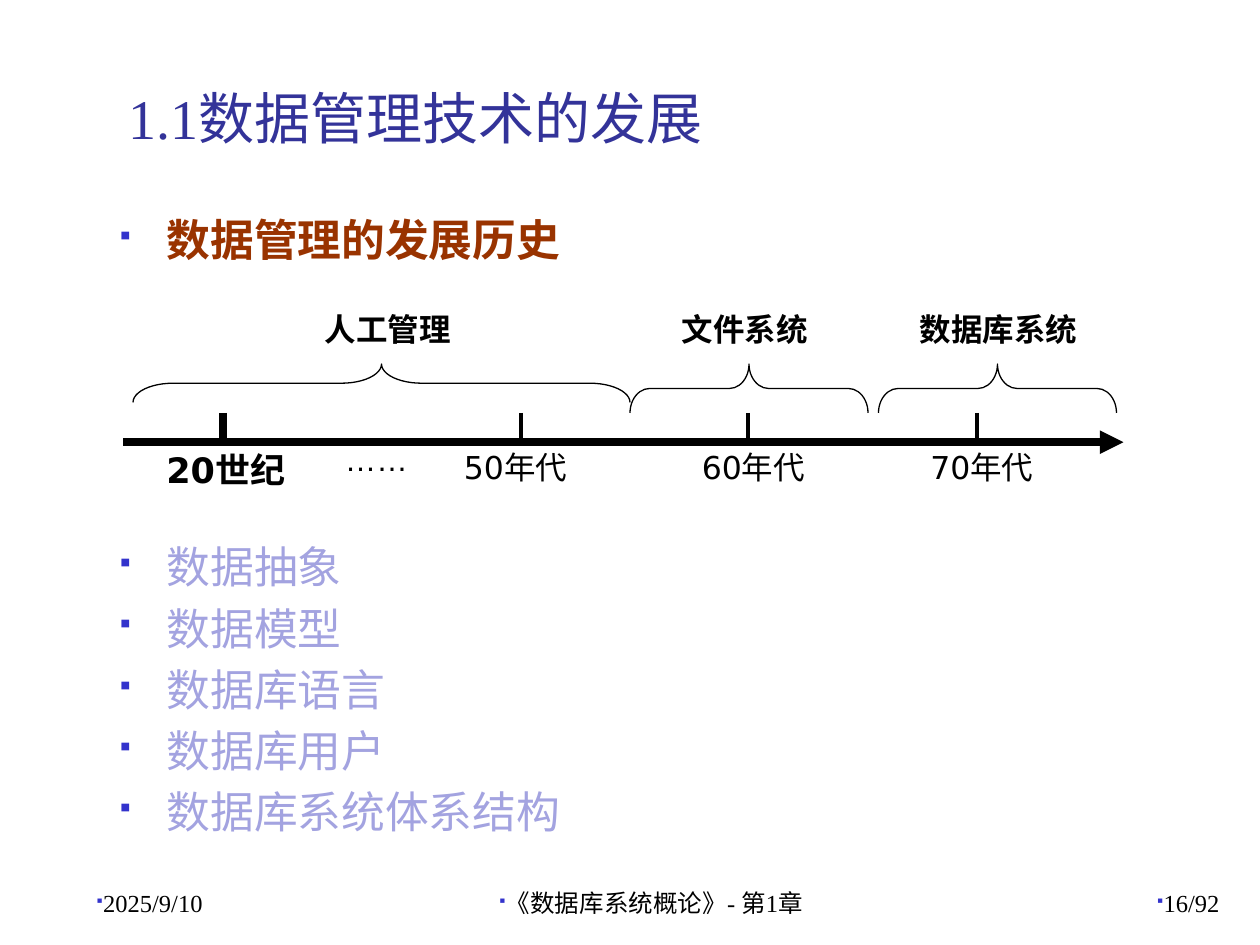
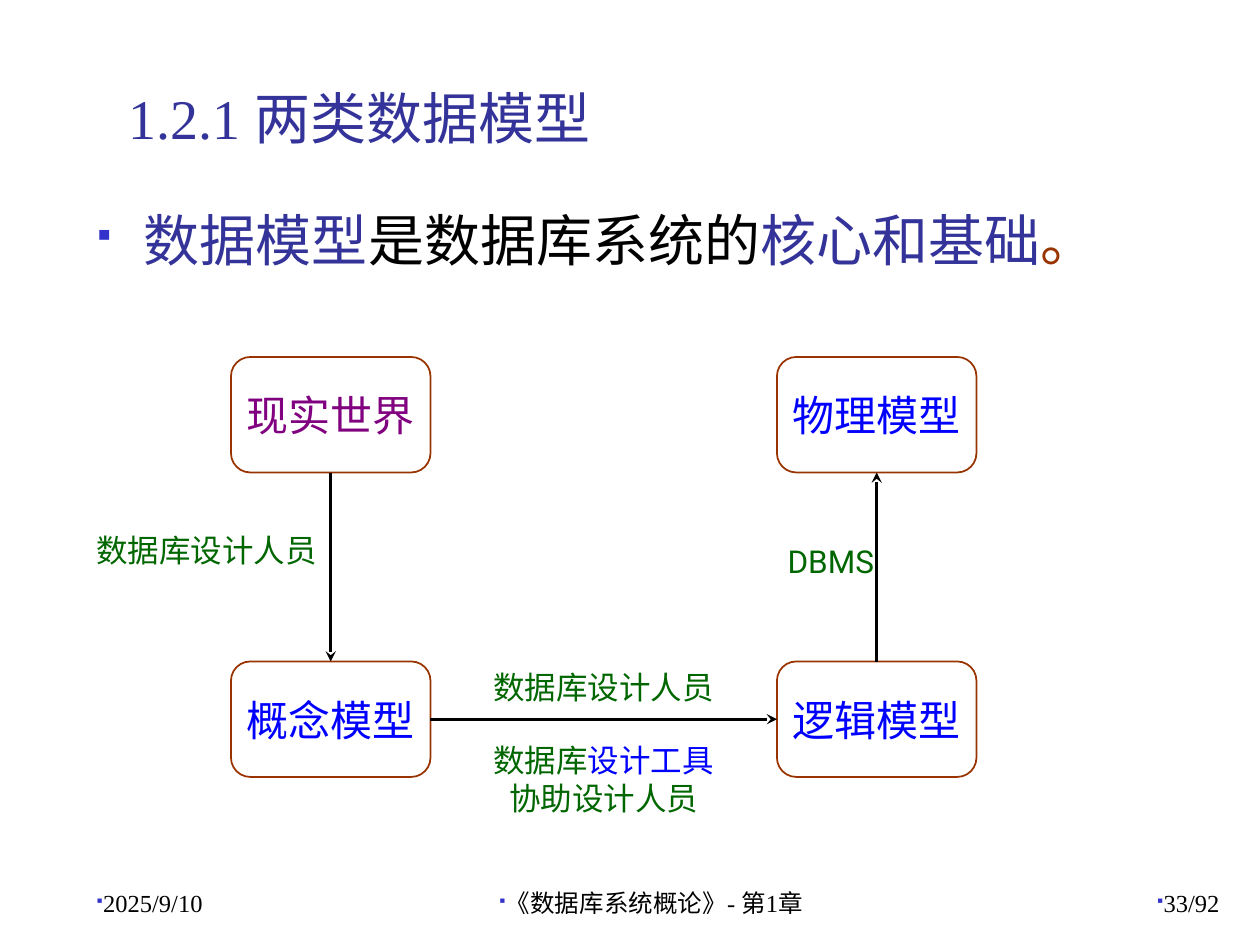
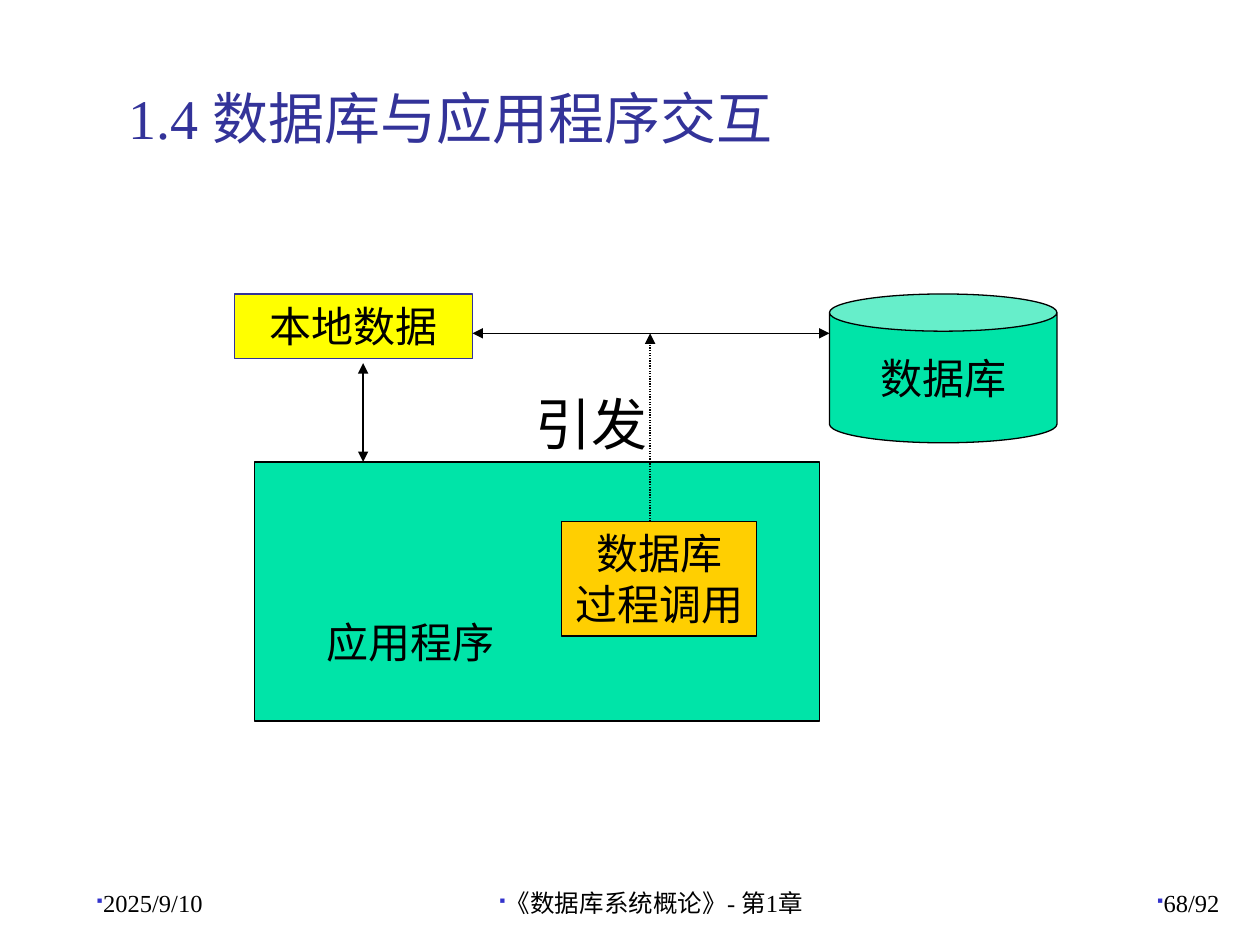
from dataclasses import dataclass
from lxml.etree import SubElement
from pptx import Presentation
from pptx.dml.color import RGBColor
from pptx.enum.dml import MSO_LINE
from pptx.enum.shapes import MSO_CONNECTOR, MSO_SHAPE
from pptx.enum.text import MSO_ANCHOR, MSO_AUTO_SIZE, PP_ALIGN
from pptx.oxml.ns import qn
from pptx.util import Pt


@dataclass(frozen=True)
class Theme:
    """Colours, fonts and type sizes of the deck."""
    navy: str = "333399"
    mark: str = "3333CC"
    rust: str = "993300"
    pale: str = "A3A3E0"
    black: str = "000000"
    blue: str = "0000FF"
    plum: str = "800080"
    green: str = "006600"
    mint: str = "00E4A8"
    gold: str = "FFCF01"
    yellow: str = "FFFF00"
    serif: str = "Times New Roman"
    sans: str = "Roboto"
    plain: str = "Arial"
    chart: str = "DejaVu Sans"
    title: int = 32
    list: int = 25
    node: int = 24
    year: int = 20
    label: int = 18
    foot: int = 14


T = Theme()
LEFT, MID, RIGHT = PP_ALIGN.LEFT, PP_ALIGN.CENTER, PP_ALIGN.RIGHT
TOP, LOW = MSO_ANCHOR.TOP, MSO_ANCHOR.BOTTOM


def place(shape, left, top, width, height):
    """Move and size a shape, in points."""
    shape.left, shape.top = Pt(left), Pt(top)
    shape.width, shape.height = Pt(width), Pt(height)


def bullet(para, indent):
    """Give a paragraph a square bullet and a hanging indent."""
    props = para._p.get_or_add_pPr()
    props.set("marL", str(Pt(indent)))
    props.set("indent", str(-Pt(indent)))
    color = SubElement(props, qn("a:buClr"))
    SubElement(color, qn("a:srgbClr"), val=T.mark)
    SubElement(props, qn("a:buSzPct"), val="60000")
    SubElement(props, qn("a:buFont"), typeface="Wingdings")
    SubElement(props, qn("a:buChar"), char="§")


def write(shape, *lines, size=T.label, color=T.black, font=T.plain, bold=False,
          align=LEFT, anchor=TOP, wrap=True, indent=None, gaps=()):
    """Fill a shape with lines, each a string or a list of (text, colour)."""
    frame = shape.text_frame
    frame.auto_size = MSO_AUTO_SIZE.NONE
    frame.word_wrap = wrap
    frame.vertical_anchor = anchor
    for pos, line in enumerate(lines):
        para = frame.add_paragraph() if pos else frame.paragraphs[0]
        if indent is not None:
            bullet(para, indent)
        para.alignment = align
        para.space_before = Pt(gaps[pos] if gaps else 0)
        for text, tone in [(line, color)] if isinstance(line, str) else line:
            run = para.add_run()
            run.text = text
            run.font.size = Pt(size)
            run.font.name = font
            run.font.bold = bold
            run.font.color.rgb = RGBColor.from_string(tone)


def label(slide, box, *lines, **form):
    """Add a text box."""
    shape = slide.shapes.add_textbox(*map(Pt, box))
    write(shape, *lines, **form)


def block(slide, kind, box, fill=None, edge=T.black, width=0.75):
    """Add a flat preset shape."""
    shape = slide.shapes.add_shape(kind, *map(Pt, box))
    shape.shadow.inherit = False
    if fill:
        shape.fill.solid()
        shape.fill.fore_color.rgb = RGBColor.from_string(fill)
    else:
        shape.fill.background()
    shape.line.color.rgb = RGBColor.from_string(edge)
    shape.line.width = Pt(width)
    return shape


def brace(slide, mid, width, depth, bend):
    """Add a brace that opens down over part of the time line."""
    top = 208
    box = (mid - depth / 2, top + depth / 2 - width / 2, depth, width)
    shape = block(slide, MSO_SHAPE.LEFT_BRACE, box)
    shape.adjustments[0] = bend
    shape.rotation = 90


def line(slide, start, end, width=0.75, head=None, tail=None, dash=None):
    """Add a straight black line with optional arrowheads."""
    link = slide.shapes.add_connector(
        MSO_CONNECTOR.STRAIGHT, *map(Pt, (*start, *end)))
    link.line.color.rgb = RGBColor.from_string(T.black)
    link.line.width = Pt(width)
    if dash:
        link.line.dash_style = dash
    props = link._element.spPr
    for tag, tip in (("a:headEnd", head), ("a:tailEnd", tail)):
        if tip:
            SubElement(props.find(qn("a:ln")), qn(tag), type=tip)
    SubElement(props, qn("a:effectLst"))
    return link


def join(slide, first, out, last, into):
    """Link two blocks with an arrow from side to side."""
    link = line(slide, (0, 0), (0, 0), width=1.5, tail="stealth")
    link.begin_connect(first, out)
    link.end_connect(last, into)


def start(deck, layout, title, page):
    """Add a slide with its title and footer."""
    slide = deck.slides.add_slide(deck.slide_layouts[layout])
    place(slide.shapes.title, 66, 30, 638, 60)
    write(slide.shapes.title, title, size=T.title, color=T.navy,
          font=T.serif, anchor=LOW)
    feet = ((48, 150, LEFT, "2025/9/10"),
            (258, 228, MID, "《数据库系统概论》- 第1章"),
            (554, 150, RIGHT, f"{page}/92"))
    for left, width, align, text in feet:
        label(slide, (left, 492, width, 36), text, size=T.foot, font=T.serif,
              align=align, anchor=LOW, indent=0)
    return slide


def history(deck):
    """Build the time line of data management."""
    slide = start(deck, 1, "1.1数据管理技术的发展", 16)
    body = slide.placeholders[1]
    place(body, 61, 118, 576, 380)
    write(body, "数据管理的发展历史", "数据抽象", "数据模型", "数据库语言",
          "数据库用户", "数据库系统体系结构", size=T.list, color=T.pale,
          font=T.sans, indent=27, gaps=(0, 157, 5, 5, 5, 5))
    lead = body.text_frame.paragraphs[0].runs[0].font
    lead.bold = True
    lead.color.rgb = RGBColor.from_string(T.rust)

    axis = 252.7
    line(slide, (70.5, axis), (642, axis), width=4.5, tail="triangle")
    for spot, width in ((127.5, 4.5), (297.5, 2.25), (427.7, 2.25), (558.5, 2.25)):
        line(slide, (spot, 236), (spot, axis), width=width)
    label(slide, (88, axis, 98, 31), "20世纪", size=T.year, font=T.chart, bold=True)
    label(slide, (190, 247.7, 80, 29), "……")
    for left, text in ((258, "50年代"), (394, "60年代"), (524.5, "70年代")):
        label(slide, (left, axis, 82, 29), text, font=T.chart)

    eras = (("人工管理", 178.5, 218, 284, 22, 1.04),
            ("文件系统", 382.5, 428, 136, 28, 0.4),
            ("数据库系统", 518.5, 570, 136, 28, 0.4))
    for text, left, *curve in eras:
        label(slide, (left, 173.5, 114, 29), text, font=T.chart, bold=True)
        brace(slide, *curve)


def models(deck):
    """Build the path from the real world to the physical model."""
    slide = start(deck, 1, "1.2.1 两类数据模型", 33)
    body = slide.placeholders[1]
    place(body, 48, 114, 657, 369)
    write(body, [("数据模型", T.navy), ("是数据库系统的", T.black),
                 ("核心和基础", T.navy), ("。", T.rust)],
          size=T.title, font=T.sans, indent=27)

    nodes = []
    for text, left, top, color in (("现实世界", 132, 204, T.plum),
                                   ("概念模型", 132, 378, T.blue),
                                   ("逻辑模型", 444, 378, T.blue),
                                   ("物理模型", 444, 204, T.blue)):
        node = block(slide, MSO_SHAPE.FLOWCHART_ALTERNATE_PROCESS,
                     (left, top, 114, 66), edge=T.rust, width=1)
        write(node, text, size=T.node, color=color, font=T.sans,
              align=MID, anchor=MSO_ANCHOR.MIDDLE, wrap=False)
        nodes.append(node)
    world, idea, logic, store = nodes
    join(slide, world, 2, idea, 0)
    join(slide, idea, 3, logic, 1)
    join(slide, logic, 0, store, 2)

    form = dict(color=T.green, font=T.sans)
    label(slide, (48, 300, 168, 29), "数据库设计人员", **form)
    label(slide, (443, 306, 72, 29), "DBMS", **form)
    label(slide, (270, 378, 150, 29), "数据库设计人员", align=MID, **form)
    label(slide, (270, 420, 150, 50),
          [("数据库", T.green), ("设计工具", T.blue), ("协助设计人员", T.green)],
          align=MID, **form)


def calls(deck):
    """Build the exchange between program and database."""
    slide = start(deck, 5, "1.4 数据库与应用程序交互", 68)
    form = dict(size=T.node, align=MID)
    block(slide, MSO_SHAPE.RECTANGLE, (145.5, 264, 323, 148), T.mint)
    label(slide, (179.5, 349, 124.5, 36), "应用程序", size=T.node)
    call = block(slide, MSO_SHAPE.RECTANGLE, (321, 298, 111.5, 65.5), T.gold)
    write(call, "数据库", "过程调用", wrap=False, **form)
    local = block(slide, MSO_SHAPE.RECTANGLE, (134, 168, 136, 37), T.yellow, T.navy)
    write(local, "本地数据", **form)
    data = block(slide, MSO_SHAPE.CAN, (474, 168, 130, 85), T.mint)
    write(data, "数据库", anchor=MSO_ANCHOR.MIDDLE, wrap=False, **form)

    both = dict(head="triangle", tail="triangle")
    line(slide, (207.5, 207.5), (207.5, 264), **both)
    line(slide, (270, 190.5), (474, 190.5), **both)
    line(slide, (371.5, 298), (371.5, 190.5), tail="triangle",
         dash=MSO_LINE.ROUND_DOT)
    label(slide, (276, 219, 124.5, 45), "引发", size=T.title, align=MID)


def main():
    """Build and save the deck."""
    deck = Presentation()
    deck.slide_width, deck.slide_height = Pt(720), Pt(540)
    history(deck)
    models(deck)
    calls(deck)
    deck.save("out.pptx")


if __name__ == "__main__":
    main()
